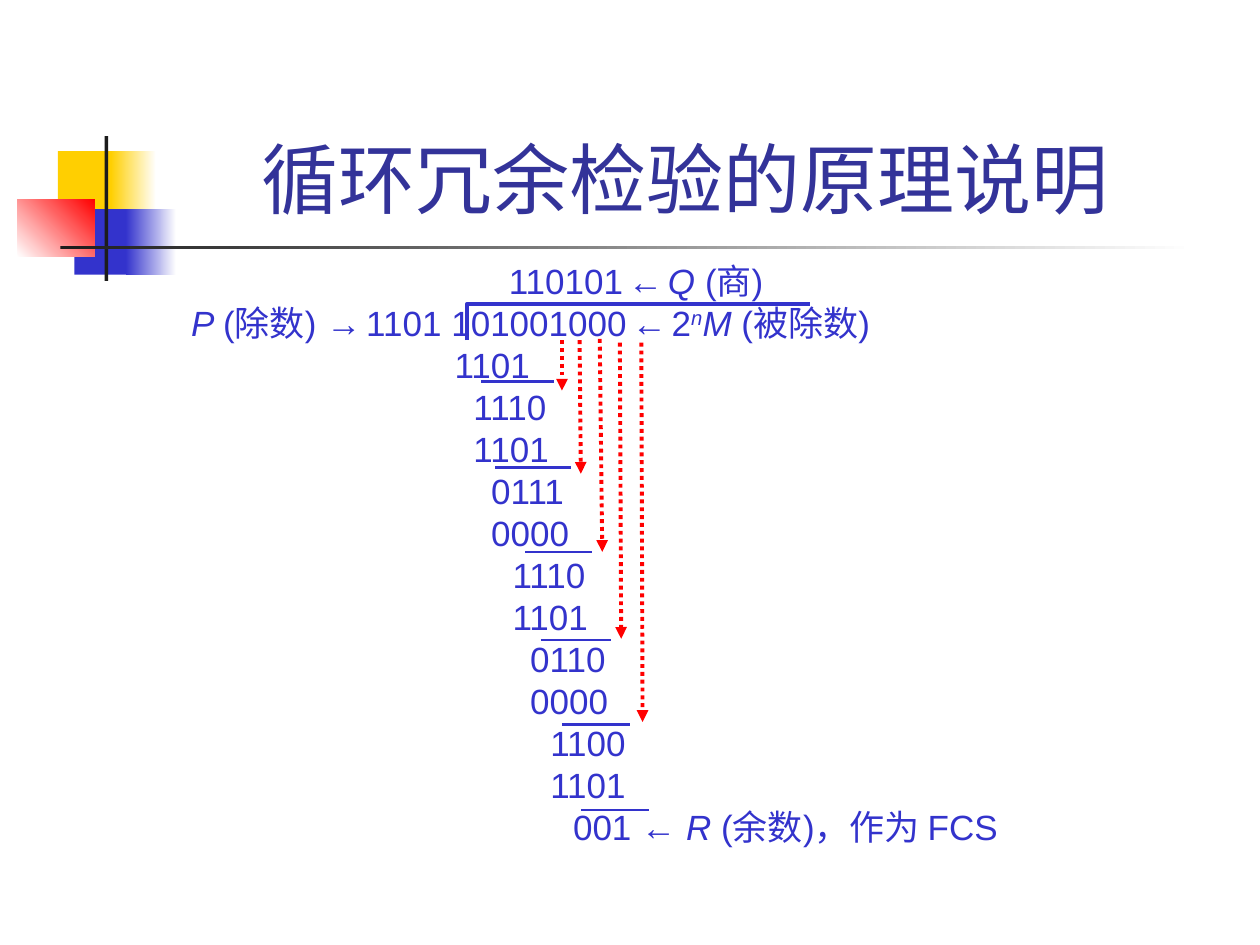
from lxml.etree import SubElement
from pptx import Presentation
from pptx.dml.color import RGBColor
from pptx.enum.dml import MSO_LINE
from pptx.enum.shapes import MSO_CONNECTOR, MSO_SHAPE
from pptx.enum.text import MSO_ANCHOR, PP_ALIGN
from pptx.oxml.ns import qn
from pptx.util import Inches, Pt

BLUE = RGBColor(0x33, 0x33, 0xCC)
NAVY = RGBColor(0x33, 0x33, 0x99)
RED = RGBColor(0xFF, 0x00, 0x00)
YELLOW = RGBColor(0xFF, 0xCF, 0x01)
BLACK = RGBColor(0x1C, 0x1C, 0x1C)
WHITE = RGBColor(0xFF, 0xFF, 0xFF)

TITLE = "循环冗余检验的原理说明"

# Decoration: left, top, width, height, colours, gradient angle
BLOCKS = [
    (0.46, 1.2, 0.48, 0.52, [YELLOW], 0),
    (0.88, 1.2, 0.36, 0.52, [YELLOW, WHITE], 0),
    (0.59, 1.66, 0.46, 0.52, [BLUE], 0),
    (1.0, 1.66, 0.4, 0.52, [BLUE, WHITE], 0),
    (0.14, 1.58, 0.61, 0.46, [WHITE, RED], 45),
    (0.83, 1.08, 0.03, 1.15, [BLACK], 0),
    (0.48, 1.95, 9, 0.03, [BLACK, WHITE], 0),
]

# Long division: left edge of the line, then its runs as (text, format)
ITALIC = {"italic": True}
GAP = (" ", {"size": 10})
QUOTIENT = [("110101", {}), GAP, ("←", {}), GAP, ("Q ", ITALIC), ("(商)", {})]
DIVISION = [("P ", ITALIC), ("(除数) ", {}), ("→", {"bold": True}), GAP,
            ("1101 101001000", {}), GAP, ("←", {}), GAP, ("2", {}),
            ("n", {"italic": True, "baseline": 30}), ("M ", ITALIC), ("(被除数)", {})]
REMAINDER = [("001 ← ", {}), ("R", ITALIC), (" (余数)，作为 FCS", {})]
STEPS = [(3.61, ["1101"]), (3.76, ["1110", "1101"]), (3.9, ["0111", "0000"]),
         (4.07, ["1110", "1101"]), (4.21, ["0110", "0000"]), (4.37, ["1100", "1101"])]
LINES = [(4.04, QUOTIENT), (1.52, DIVISION)]
LINES += [(x, [(row, {})]) for x, rows in STEPS for row in rows]
LINES += [(4.55, REMAINDER)]

# Subtraction rules: left, right, y
RULES = [(3.82, 4.4, 3.03), (3.93, 4.53, 3.71), (4.17, 4.7, 4.38),
         (4.29, 4.85, 5.08), (4.46, 5.0, 5.75), (4.61, 5.15, 6.43)]
# Bring-down arrows: x1, y1, x2, y2
ARROWS = [(4.46, 2.7, 4.46, 3.1), (4.6, 2.7, 4.61, 3.76), (4.76, 2.69, 4.78, 4.38),
          (4.92, 2.72, 4.93, 5.07), (5.09, 2.72, 5.1, 5.73)]
BRACKET = [(3.71, 2.7), (3.71, 2.41), (6.43, 2.41)]
TEXT_LEFT, INSET, PITCH = 1.11, 0.1, 24


def add_text(p, text, size=20, color=BLUE, bold=False, italic=False, baseline=0):
    r = p.add_run()
    r.text = text
    r.font.name = "Arial"
    r.font.size = Pt(size)
    r.font.bold = bold
    r.font.italic = italic
    r.font.color.rgb = color
    if baseline:
        r.font._element.set("baseline", str(baseline * 1000))


def add_box(s, x, y, w, h, anchor=MSO_ANCHOR.TOP):
    tf = s.shapes.add_textbox(Inches(x), Inches(y), Inches(w), Inches(h)).text_frame
    tf.word_wrap = True
    tf.vertical_anchor = anchor
    return tf


def add_block(s, x, y, w, h, colors, angle):
    sp = s.shapes.add_shape(MSO_SHAPE.RECTANGLE, Inches(x), Inches(y), Inches(w), Inches(h))
    sp.shadow.inherit = False
    sp.line.fill.background()
    if len(colors) == 1:
        sp.fill.solid()
        sp.fill.fore_color.rgb = colors[0]
        return
    sp.fill.gradient()
    sp.fill.gradient_angle = angle
    for i, (stop, color) in enumerate(zip(sp.fill.gradient_stops, colors)):
        stop.position = i
        stop.color.rgb = color


def add_line(s, x1, y1, x2, y2, color, width, arrow=False):
    c = s.shapes.add_connector(MSO_CONNECTOR.STRAIGHT,
                               Inches(x1), Inches(y1), Inches(x2), Inches(y2))
    c.line.color.rgb = color
    c.line.width = Pt(width)
    if arrow:
        c.line.dash_style = MSO_LINE.ROUND_DOT
        SubElement(c.line._get_or_add_ln(), qn("a:tailEnd"), type="triangle")
    SubElement(c._element.spPr, qn("a:effectLst"))


prs = Presentation()
prs.slide_width, prs.slide_height = Inches(10), Inches(7.5)
s = prs.slides.add_slide(prs.slide_layouts[6])

for block in BLOCKS:
    add_block(s, *block)

# Division text
tf = add_box(s, TEXT_LEFT, 2.01, 8.86, 4.77)
for i, (x, runs) in enumerate(LINES):
    p = tf.paragraphs[0] if i == 0 else tf.add_paragraph()
    p.line_spacing = Pt(PITCH)
    pPr = p._p.get_or_add_pPr()
    pPr.set("marL", str(Inches(x - TEXT_LEFT - INSET)))
    pPr.set("indent", "0")
    for text, fmt in runs:
        add_text(p, text, **fmt)

# Title
p = add_box(s, 1.18, 0.23, 8.52, 1.6, MSO_ANCHOR.BOTTOM).paragraphs[0]
p.alignment = PP_ALIGN.CENTER
add_text(p, TITLE, size=44, color=NAVY)

# Division bracket
(x0, y0), *rest = BRACKET
fb = s.shapes.build_freeform(Inches(x0), Inches(y0))
fb.add_line_segments([(Inches(x), Inches(y)) for x, y in rest], close=False)
sp = fb.convert_to_shape()
sp.shadow.inherit = False
sp.fill.background()
sp.line.color.rgb = BLUE
sp.line.width = Pt(2.25)

# Arrows and subtraction rules
for arrow in ARROWS:
    add_line(s, *arrow, RED, 2.25, arrow=True)
for left, right, y in RULES:
    add_line(s, left, y, right, y, BLUE, 1.5)

prs.save("out.pptx")
